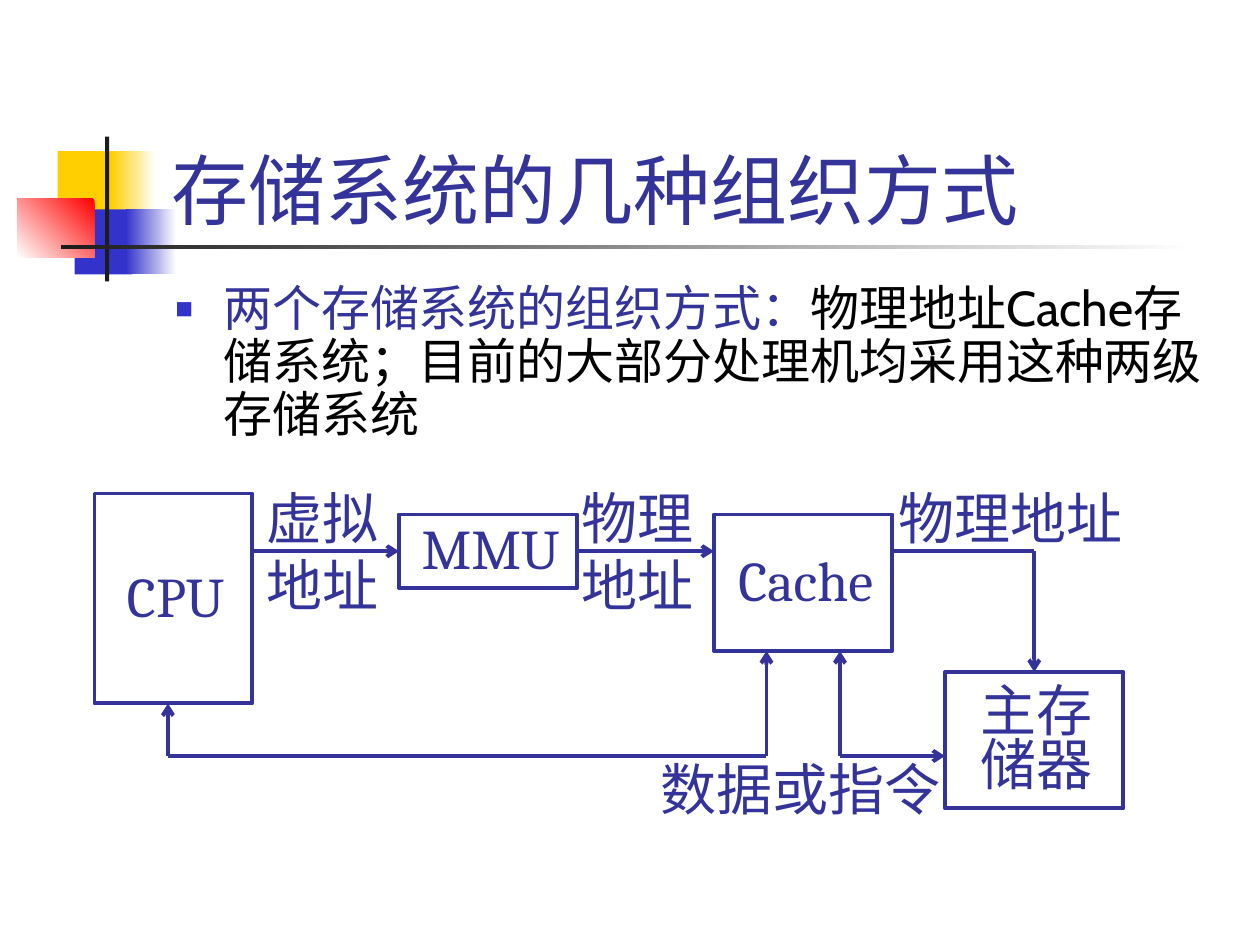
from lxml.etree import SubElement
from pptx import Presentation
from pptx.dml.color import RGBColor
from pptx.enum.shapes import MSO_CONNECTOR as Connector, MSO_SHAPE as Shape
from pptx.enum.text import MSO_ANCHOR as Anchor, MSO_AUTO_SIZE as AutoSize, PP_ALIGN as Align
from pptx.oxml.ns import qn
from pptx.util import Inches, Pt

COLUMNS, ROWS = 120, 90
CELL = Inches(10) / COLUMNS
INDIGO = RGBColor(0x33, 0x33, 0x99)
BLUE = RGBColor(0x33, 0x33, 0xCC)
YELLOW = RGBColor(0xFF, 0xCF, 0x01)
RED = RGBColor(0xFF, 0x00, 0x00)
CHARCOAL = RGBColor(0x1C, 0x1C, 0x1C)
BLACK = RGBColor(0, 0, 0)
WHITE = RGBColor(0xFF, 0xFF, 0xFF)
TITLE_FONT, DIAGRAM_FONT = "Cabin", "Cambria"
TOP, LEFT = 0, 1
RIGHT = 3
ADDRESS_ROW, BUS_ROW, MEMORY_COLUMN = 52.5, 72, 98.5


def cells(*values):
    """Convert grid cells to slide lengths."""
    return [round(value * CELL) for value in values]


def write(paragraph, text, size, color, font=TITLE_FONT, align=Align.LEFT, spacing=1.0):
    """Add formatted text to a paragraph, breaking lines at newlines."""
    paragraph.alignment = align
    paragraph.line_spacing = spacing
    paragraph.space_before = Pt(0)
    for index, line in enumerate(text.split("\n")):
        if index:
            paragraph.add_line_break()
        run = paragraph.add_run()
        run.text = line
        run.font.size = Pt(size)
        run.font.name = font
        run.font.color.rgb = color


def add_bullet(paragraph, symbol, color, percent, indent):
    """Give a paragraph a coloured bullet with a hanging indent."""
    properties = paragraph._p.get_or_add_pPr()
    properties.set("marL", str(indent))
    properties.set("indent", str(-indent))
    bullet_color = SubElement(properties, qn("a:buClr"))
    SubElement(bullet_color, qn("a:srgbClr"), val=str(color))
    SubElement(properties, qn("a:buSzPct"), val=str(percent * 1000))
    SubElement(properties, qn("a:buChar"), char=symbol)


def place(slide, placeholder, area, anchor):
    """Move a placeholder to a grid area, in front of earlier shapes."""
    placeholder.left, placeholder.top, placeholder.width, placeholder.height = cells(*area)
    slide.shapes._spTree.append(placeholder._element)
    frame = placeholder.text_frame
    frame.auto_size = AutoSize.NONE
    frame.vertical_anchor = anchor
    return frame.paragraphs[0]


def add_block(slide, area, start, end=None, angle=0):
    """Draw a borderless block, solid or with a gradient."""
    block = slide.shapes.add_shape(Shape.RECTANGLE, *cells(*area))
    block.shadow.inherit = False
    block.line.fill.background()
    if end is None:
        block.fill.solid()
        block.fill.fore_color.rgb = start
        return
    block.fill.gradient()
    block.fill.gradient_angle = angle
    for stop, color in zip(block.fill.gradient_stops, (start, end)):
        stop.color.rgb = color


def add_diagram_text(shape, text, spacing=1.0):
    """Centre diagram text in a shape or text box."""
    frame = shape.text_frame
    frame.word_wrap = False
    frame.vertical_anchor = Anchor.MIDDLE
    frame.margin_left, frame.margin_top = Inches(0.08), Inches(0.04)
    frame.margin_right, frame.margin_bottom = Inches(0.04), 0
    write(frame.paragraphs[0], text, 32, INDIGO, font=DIAGRAM_FONT,
          align=Align.CENTER, spacing=spacing)


def add_unit(slide, area, text):
    """Draw an outlined hardware unit."""
    unit = slide.shapes.add_shape(Shape.RECTANGLE, *cells(*area))
    unit.shadow.inherit = False
    unit.fill.background()
    unit.line.color.rgb = INDIGO
    unit.line.width = Pt(2.25)
    add_diagram_text(unit, text, spacing=0.8)
    return unit


def add_label(slide, area, text):
    """Write a signal name beside its line."""
    add_diagram_text(slide.shapes.add_textbox(*cells(*area)), text)


def add_line(slide, start, end, arrow=True):
    """Draw a signal line between two grid points."""
    line = slide.shapes.add_connector(Connector.STRAIGHT, *cells(*start, *end))
    line.line.color.rgb = INDIGO
    line.line.width = Pt(2.25)
    if arrow:
        SubElement(line.line._get_or_add_ln(), qn("a:tailEnd"), type="arrow")
    SubElement(line._element.spPr, qn("a:effectLst"))
    return line


def add_decoration(slide):
    """Draw the colour blocks and rules around the title."""
    add_block(slide, (5.5, 14.4, 5.8, 6.2), YELLOW)
    add_block(slide, (10.55, 14.4, 4.3, 6.2), WHITE, YELLOW, 180)
    add_block(slide, (7.1, 19.95, 5.5, 6.2), BLUE)
    add_block(slide, (12, 19.95, 4.8, 6.2), WHITE, BLUE, 180)
    add_block(slide, (1.65, 18.95, 7.35, 5.55), RED, WHITE, 225)
    add_block(slide, (10, 13, 0.4, 13.8), CHARCOAL)
    add_block(slide, (5.8, 23.35, 108, 0.4), WHITE, CHARCOAL, 180)


def add_diagram(slide):
    """Draw the storage units, their signal lines and labels."""
    add_unit(slide, (9, 47, 15, 20), "CPU")
    mmu = add_unit(slide, (38, 49, 17, 7), "MMU")
    add_unit(slide, (68, 49, 17, 13), "Cache")
    memory = add_unit(slide, (90, 64, 17, 13), "主存\n储器")

    add_line(slide, (24, ADDRESS_ROW), (38, ADDRESS_ROW)).end_connect(mmu, LEFT)
    add_line(slide, (55, ADDRESS_ROW), (68, ADDRESS_ROW)).begin_connect(mmu, RIGHT)
    corner = (MEMORY_COLUMN, ADDRESS_ROW)
    add_line(slide, (85, ADDRESS_ROW), corner, arrow=False)
    add_line(slide, corner, (MEMORY_COLUMN, 64)).end_connect(memory, TOP)

    add_line(slide, (73, BUS_ROW), (16, BUS_ROW), arrow=False)
    for column, row in ((16, 67), (73, 62), (80, 62)):
        add_line(slide, (column, BUS_ROW), (column, row))
    add_line(slide, (80, BUS_ROW), (90, BUS_ROW))

    add_label(slide, (24, 46.7, 13, 11), "虚拟\n地址")
    add_label(slide, (54, 46.7, 13, 11), "物理\n地址")
    add_label(slide, (83.5, 46, 25, 6), "物理地址")
    add_label(slide, (61.5, 71.3, 29, 7), "数据或指令")


def main():
    """Build and save the presentation."""
    presentation = Presentation()
    presentation.slide_width, presentation.slide_height = cells(COLUMNS, ROWS)
    slide = presentation.slides.add_slide(presentation.slide_layouts[1])
    add_decoration(slide)
    title = place(slide, slide.shapes.title, (15.1, 8, 102.2, 15), Anchor.BOTTOM)
    write(title, "存储系统的几种组织方式", 44, INDIGO)
    body = place(slide, slide.placeholders[1], (15.5, 26.5, 102, 16.5), Anchor.TOP)
    add_bullet(body, "■", BLUE, 60, Inches(0.38))
    write(body, "两个存储系统的组织方式：", 28, INDIGO, spacing=0.9)
    write(body, "物理地址Cache存储系统；目前的大部分处理机均采用这种两级存储系统",
          28, BLACK, spacing=0.9)
    add_diagram(slide)
    presentation.save("out.pptx")


if __name__ == "__main__":
    main()
